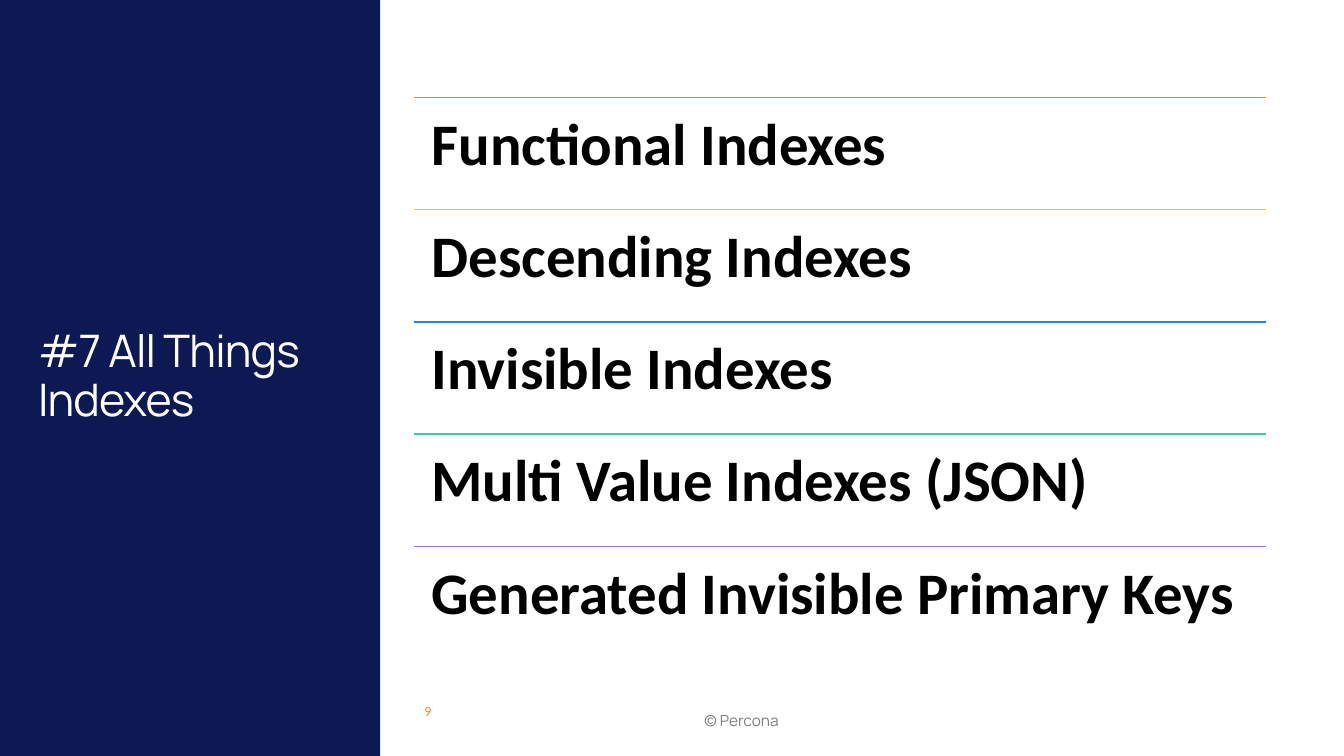
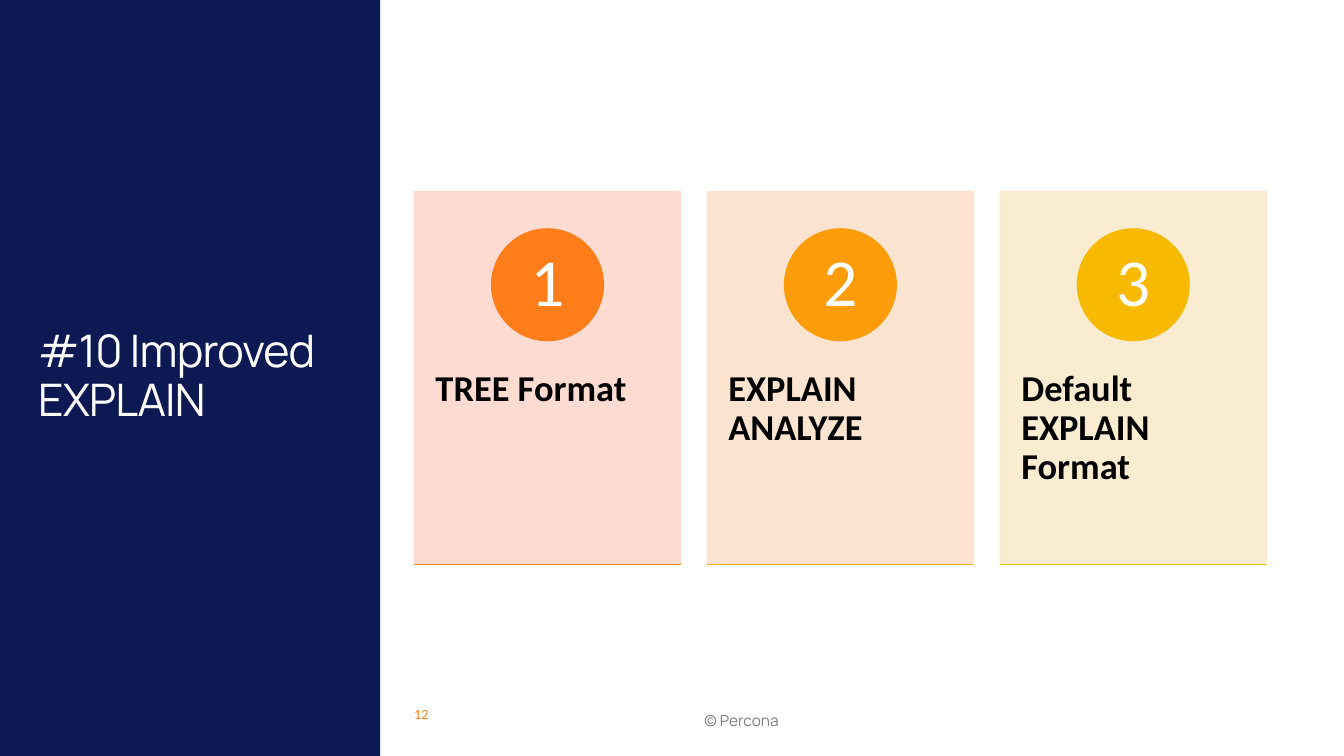
from lxml import etree
from pptx import Presentation
from pptx.dml.color import RGBColor
from pptx.enum.shapes import MSO_CONNECTOR, MSO_SHAPE
from pptx.enum.text import MSO_ANCHOR, PP_ALIGN
from pptx.oxml.ns import qn
from pptx.util import Inches, Pt

RECT, OVAL, STRAIGHT = MSO_SHAPE.RECTANGLE, MSO_SHAPE.OVAL, MSO_CONNECTOR.STRAIGHT
TOP, MIDDLE = MSO_ANCHOR.TOP, MSO_ANCHOR.MIDDLE
LEFT, CENTER = PP_ALIGN.LEFT, PP_ALIGN.CENTER

COLORS = {
    "navy": "0D1953", "white": "FFFFFF", "black": "000000", "gray": "808080",
    "orange": "FF7E19", "yellow": "EFC700", "blue": "1486FF", "teal": "2FD0B2",
    "purple": "A76EEF", "tangerine": "FF8C11", "amber": "FF9C09", "honey": "FFAC00",
    "gold": "F7BA00", "pink": "FFD8CC", "peach": "FCE2CC", "cream": "F9EBCC",
}
HEAD_FONT, BODY_FONT = "Manrope", "Calibri"
FOOTER = "© Percona"

INDEXES = {
    "title": "#7 All Things Indexes",
    "page": ("9", 4.11, 6.92),
    "rows": [
        ("Functional Indexes", "orange"),
        ("Descending Indexes", "yellow"),
        ("Invisible Indexes", "blue"),
        ("Multi Value Indexes (JSON)", "teal"),
        ("Generated Invisible Primary Keys", "purple"),
    ],
}
EXPLAIN = {
    "title": "#10 Improved EXPLAIN",
    "page": ("12", 4.01, 6.95),
    "cards": [  # label, card, circle, rule
        ("TREE Format", "pink", "orange", "tangerine"),
        ("EXPLAIN ANALYZE", "peach", "amber", "honey"),
        ("Default EXPLAIN Format", "cream", "gold", "yellow"),
    ],
}

SLIDE_W, SLIDE_H = 13.33, 7.5
BAND_W = 3.77
BODY_X, BODY_W = 4.11, 8.45
ROWS_TOP, ROWS_BOTTOM = 0.97, 6.53
CARD_TOP, CARD_W, CARD_H = 1.9, 2.64, 3.7
CIRCLE_TOP, CIRCLE_D = 2.27, 1.11
LINE_W = 0.85
INSETS = (0.1, 0.05, 0.1, 0.05)


def rgb(name):
    return RGBColor.from_string(COLORS[name])


def write(sp, text, size, color, font=BODY_FONT, bold=False, align=LEFT,
          anchor=TOP, insets=INSETS, spacing=1.0):
    tf = sp.text_frame
    tf.word_wrap = True
    tf.vertical_anchor = anchor
    (tf.margin_left, tf.margin_top,
     tf.margin_right, tf.margin_bottom) = map(Inches, insets)
    p = tf.paragraphs[0]
    p.text = text
    p.alignment, p.line_spacing = align, spacing
    p.font.name, p.font.size, p.font.bold = font, Pt(size), bold
    p.font.color.rgb = rgb(color)
    return p


def add_text(s, box, *args, **style):
    return write(s.shapes.add_textbox(*map(Inches, box)), *args, **style)


def add_block(s, kind, box, color, opacity=100):
    sp = s.shapes.add_shape(kind, *map(Inches, box))
    sp.shadow.inherit = False
    sp.fill.solid()
    sp.fill.fore_color.rgb = sp.line.color.rgb = rgb(color)
    sp.line.width = Pt(LINE_W)
    if opacity < 100:
        for clr in sp.element.spPr.iter(qn("a:srgbClr")):
            etree.SubElement(clr, qn("a:alpha")).set("val", str(opacity * 1000))
    return sp


def add_rule(s, x, y, width, color):
    line = s.shapes.add_connector(STRAIGHT, *map(Inches, (x, y, x + width, y)))
    line.line.color.rgb = rgb(color)
    line.line.width = Pt(LINE_W)
    etree.SubElement(line.element.spPr, qn("a:effectLst"))


def add_base(prs, content):
    """Add a slide with the side band, title, footer and page number."""
    s = prs.slides.add_slide(prs.slide_layouts[6])
    band = add_block(s, RECT, (0, 0, BAND_W, SLIDE_H), "navy")
    band.line.fill.background()
    p = add_text(s, (0.28, 1.23, 3.22, 5.03), content["title"], 32, "white",
                 font=HEAD_FONT, anchor=MIDDLE, spacing=0.9)
    p.runs[0].font._element.set("spc", "-60")
    add_text(s, (4.01, 6.95, 6.69, 0.4), FOOTER, 11, "gray",
             font=HEAD_FONT, align=CENTER, anchor=MIDDLE)
    number, x, y = content["page"]
    add_text(s, (x, y, 1.67, 0.4), number, 10, "orange")
    return s


def add_rows(s, rows):
    row_h = (ROWS_BOTTOM - ROWS_TOP) / len(rows)
    for i, (label, color) in enumerate(rows):
        y = ROWS_TOP + i * row_h
        add_rule(s, BODY_X, y, BODY_W, color)
        add_text(s, (BODY_X, y, BODY_W, row_h), label, 42, "black", bold=True,
                 insets=(0.17,) * 4, spacing=0.9)


def add_cards(s, cards):
    step = (BODY_W - CARD_W) / (len(cards) - 1)
    for i, (label, fill, circle, rule) in enumerate(cards):
        x = BODY_X + i * step
        card = add_block(s, RECT, (x, CARD_TOP, CARD_W, CARD_H), fill, opacity=90)
        write(card, label, 26, "black", bold=True,
              insets=(0.21, 1.77, 0.21, 0.43), spacing=0.9)
        disc = add_block(s, OVAL, (x + (CARD_W - CIRCLE_D) / 2, CIRCLE_TOP,
                                   CIRCLE_D, CIRCLE_D), circle)
        write(disc, str(i + 1), 48, "white", align=CENTER, anchor=MIDDLE,
              insets=(0.09, 0.01, 0.09, 0.01), spacing=0.9)
        add_rule(s, x, CARD_TOP + CARD_H, CARD_W, rule)


def main():
    prs = Presentation()
    prs.slide_width, prs.slide_height = Inches(SLIDE_W), Inches(SLIDE_H)
    add_rows(add_base(prs, INDEXES), INDEXES["rows"])
    add_cards(add_base(prs, EXPLAIN), EXPLAIN["cards"])
    prs.save("out.pptx")


if __name__ == "__main__":
    main()
